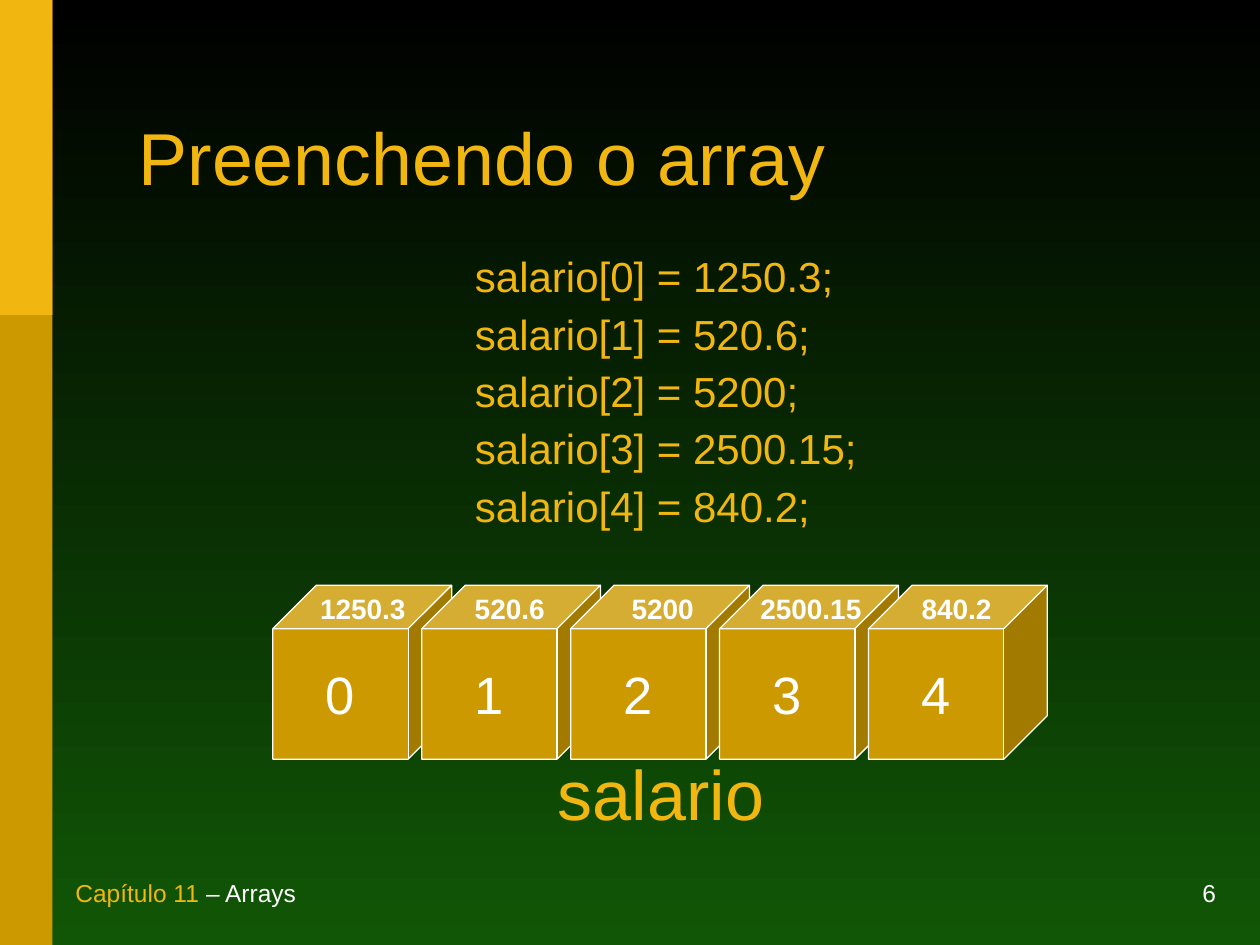
from dataclasses import dataclass

from lxml.etree import SubElement
from pptx import Presentation
from pptx.dml.color import RGBColor
from pptx.enum.shapes import MSO_SHAPE
from pptx.enum.text import MSO_ANCHOR, MSO_AUTO_SIZE, PP_ALIGN
from pptx.oxml.ns import qn
from pptx.util import Pt

COLORS = {
    "gold": "F1B60F",
    "dark_gold": "CC9900",
    "white": "FFFFFF",
    "black": "000000",
    "green": "115606",
}
FONT = "Arial"
CUBE_LEFT, CUBE_TOP, CUBE_WIDTH, CUBE_HEIGHT = 155.9, 334.4, 102.2, 99.4
CUBE_PITCH = 85.1


@dataclass(frozen=True)
class Box:
    left: float
    top: float
    width: float
    height: float

    def lengths(self) -> tuple:
        return Pt(self.left), Pt(self.top), Pt(self.width), Pt(self.height)


@dataclass(frozen=True)
class Element:
    value: str
    label_left: float
    label_width: float


ELEMENTS = [
    Element("1250.3", 173.8, 67),
    Element("520.6", 262.1, 58.3),
    Element("5200", 352, 53.3),
    Element("2500.15", 425.2, 76.3),
    Element("840.2", 517.4, 58.3),
]


def rgb(name: str) -> RGBColor:
    return RGBColor.from_string(COLORS[name])


def style(paragraph, size: float, color: str, align=PP_ALIGN.LEFT,
          bold: bool = False, before: float = 0) -> None:
    paragraph.font.name = FONT
    paragraph.font.size = Pt(size)
    paragraph.font.bold = bold
    paragraph.font.color.rgb = rgb(color)
    paragraph.alignment = align
    paragraph.space_before = Pt(before)


def place(shape, box: Box) -> None:
    shape.left, shape.top, shape.width, shape.height = box.lengths()


def add_shape(slide, kind, box: Box, fill: str):
    shape = slide.shapes.add_shape(kind, *box.lengths())
    shape.shadow.inherit = False
    shape.fill.solid()
    shape.fill.fore_color.rgb = rgb(fill)
    shape.line.fill.background()
    return shape


def add_text(slide, box: Box, text: str, size: float, color: str,
             align=PP_ALIGN.LEFT, anchor=MSO_ANCHOR.TOP,
             bold: bool = False, before: float = 0):
    frame = slide.shapes.add_textbox(*box.lengths()).text_frame
    frame.word_wrap = True
    frame.vertical_anchor = anchor
    frame.text = text
    style(frame.paragraphs[0], size, color, align, bold, before)
    return frame.paragraphs[0]


def add_cube(slide, index: int) -> None:
    box = Box(CUBE_LEFT + index * CUBE_PITCH, CUBE_TOP, CUBE_WIDTH, CUBE_HEIGHT)
    cube = add_shape(slide, MSO_SHAPE.CUBE, box, "dark_gold")
    cube.adjustments[0] = 0.25
    cube.line.color.rgb = rgb("white")
    cube.line.width = Pt(0.75)
    frame = cube.text_frame
    frame.word_wrap = False
    frame.vertical_anchor = MSO_ANCHOR.MIDDLE
    frame.text = str(index)
    style(frame.paragraphs[0], 30, "white", PP_ALIGN.CENTER, before=7.5)


def fill_title(title) -> None:
    place(title, Box(72, 48, 594, 90))
    title.text_frame.text = "Preenchendo o array"
    title.text_frame.vertical_anchor = MSO_ANCHOR.MIDDLE
    heading = title.text_frame.paragraphs[0]
    style(heading, 42, "gold")
    heading.line_spacing = 0.85


def fill_assignments(body) -> None:
    place(body, Box(264.2, 139.7, 232.6, 167))
    frame = body.text_frame
    frame.text = "\n".join(f"salario[{index}] = {element.value};"
                           for index, element in enumerate(ELEMENTS))
    frame.word_wrap = False
    frame.auto_size = MSO_AUTO_SIZE.SHAPE_TO_FIT_TEXT
    for assignment in frame.paragraphs:
        style(assignment, 24, "gold", before=4)
        # Plain lines: no bullet and no hanging indent
        properties = assignment._p.get_or_add_pPr()
        properties.set("marL", "0")
        properties.set("indent", "0")
        SubElement(properties, qn("a:buNone"))


def main() -> None:
    presentation = Presentation()
    presentation.slide_width, presentation.slide_height = Pt(720), Pt(540)
    slide = presentation.slides.add_slide(presentation.slide_layouts[1])

    # Background, black at the top to green at the bottom
    background = slide.background.fill
    background.gradient()
    background.gradient_angle = 270
    for stop, position, color in zip(background.gradient_stops, (0, 1),
                                     ("black", "green")):
        stop.position = position
        stop.color.rgb = rgb(color)

    # Side band
    add_shape(slide, MSO_SHAPE.RECTANGLE, Box(0, 0, 30, 540), "dark_gold")
    add_shape(slide, MSO_SHAPE.RECTANGLE, Box(0, 0, 30, 180), "gold")

    # Footer
    add_text(slide, Box(522, 504, 180, 18), "6", 14, "white",
             PP_ALIGN.RIGHT, MSO_ANCHOR.BOTTOM, before=3.5)
    chapter = add_text(slide, Box(36, 504, 180, 18), "Capítulo 11", 14, "gold",
                       anchor=MSO_ANCHOR.BOTTOM)
    topic = chapter.add_run()
    topic.text = " – Arrays"
    for run, color in zip(chapter.runs, ("gold", "white")):
        run.font.color.rgb = rgb(color)

    # Title and assignments
    fill_title(slide.shapes.title)
    fill_assignments(slide.placeholders[1])

    # Array cubes, then the values on their top faces
    for index in range(len(ELEMENTS)):
        add_cube(slide, index)
    for element in ELEMENTS:
        add_text(slide, Box(element.label_left, 334.4, element.label_width, 28.5),
                 element.value, 16, "white", PP_ALIGN.CENTER, bold=True)

    # Array name
    add_text(slide, Box(307.7, 425.5, 140, 55.4), "salario", 40, "gold",
             PP_ALIGN.CENTER, before=9.5)

    presentation.save("out.pptx")


if __name__ == "__main__":
    main()
